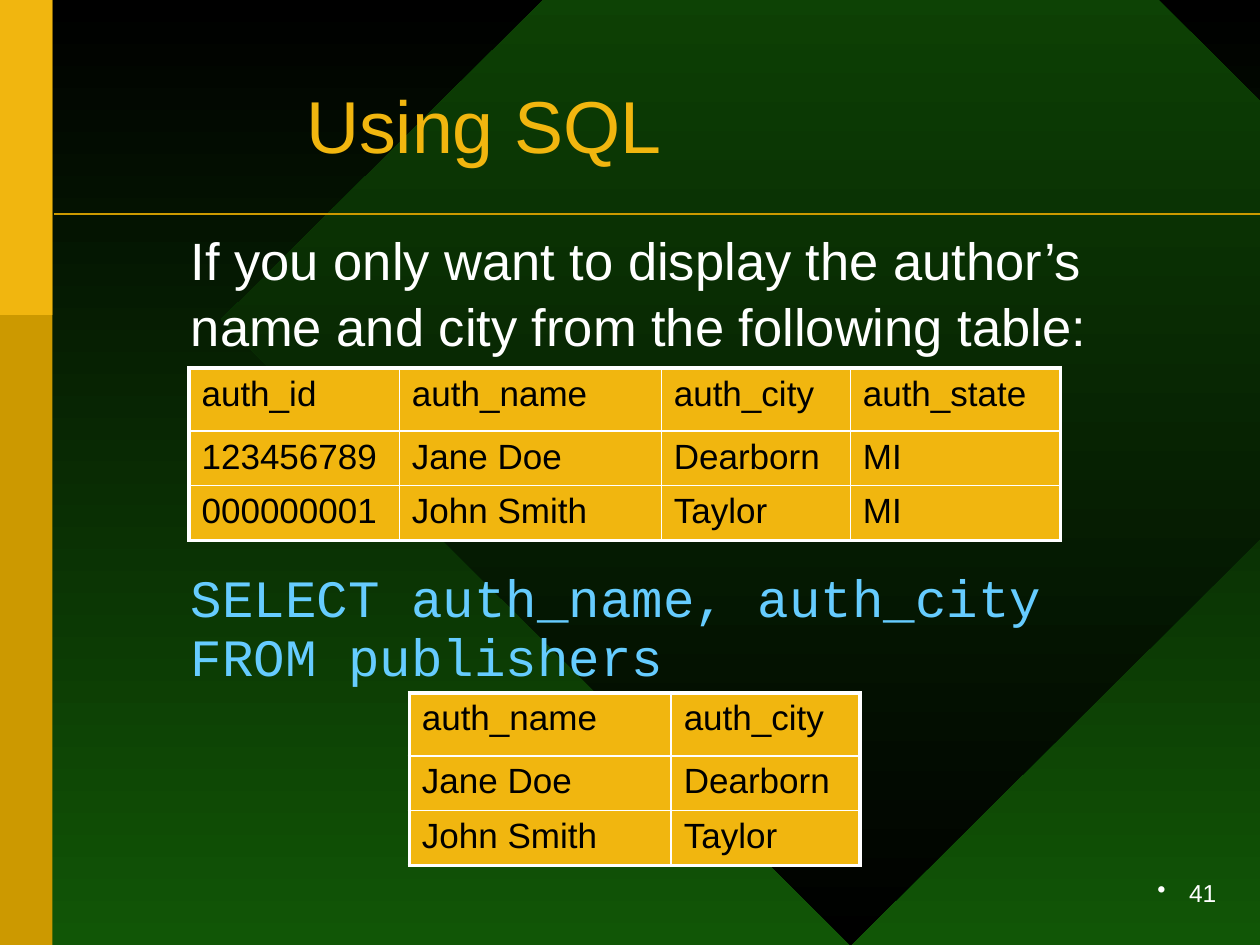
"""Build the slide on picking columns with SQL."""
from dataclasses import dataclass

from lxml.etree import SubElement as Sub
from pptx import Presentation
from pptx.dml.color import RGBColor
from pptx.enum.shapes import MSO_CONNECTOR as Link, MSO_SHAPE as Kind
from pptx.enum.text import MSO_ANCHOR as Anchor, PP_ALIGN as Align
from pptx.oxml.ns import qn
from pptx.util import Cm, Pt

BLACK = RGBColor(0x00, 0x00, 0x00)
WHITE = RGBColor(0xFF, 0xFF, 0xFF)
GREEN = RGBColor(0x11, 0x56, 0x06)
AMBER = RGBColor(0xF1, 0xB6, 0x0F)
OCHRE = RGBColor(0xCC, 0x99, 0x00)
SKY = RGBColor(0x66, 0xCC, 0xFF)

WIDE, HIGH, BAND = 25.4, 19.05, 1.06
ID, NAME, CITY, STATE = 4.24, 5.28, 3.81, 4.24
ROWS = (1.27, 1.1, 1.1)
THICK, THIN = Pt(2.25), Pt(1)


@dataclass(frozen=True)
class Box:
    left: float
    top: float
    width: float
    height: float

    def size(self) -> tuple:
        return Cm(self.left), Cm(self.top), Cm(self.width), Cm(self.height)


@dataclass(frozen=True)
class Grid:
    left: float
    top: float
    cols: tuple
    rows: tuple


SOURCE = Grid(3.81, 7.42, (ID, NAME, CITY, STATE), (
    ("auth_id", "auth_name", "auth_city", "auth_state"),
    ("123456789", "Jane Doe", "Dearborn", "MI"),
    ("000000001", "John Smith", "Taylor", "MI"),
))
RESULT = Grid(8.25, 13.97, (NAME, CITY), tuple(row[1:3] for row in SOURCE.rows))


def shade(fill, first: RGBColor, last: RGBColor) -> None:
    """Fill from top to bottom with two colours."""
    fill.gradient()
    fill.gradient_angle = 270
    for stop, color, place in zip(fill.gradient_stops, (first, last), (0, 1)):
        stop.color.rgb = color
        stop.position = place


def add_block(slide, kind, box: Box):
    """Add a preset shape without outline or shadow."""
    shape = slide.shapes.add_shape(kind, *box.size())
    shape.shadow.inherit = False
    shape.line.fill.background()
    return shape


def write(frame, text: str, *, size: float, color: RGBColor, font: str = "Arial",
          anchor=Anchor.TOP, align=Align.LEFT, space: float = 1,
          bullet: str = "") -> None:
    """Put one formatted paragraph in a text frame."""
    frame.word_wrap = True
    frame.vertical_anchor = anchor
    para = frame.paragraphs[0]
    para.text = text
    para.alignment = align
    para.line_spacing = space
    if bullet:
        props = para._p.get_or_add_pPr()
        props.set("marL", str(Cm(0.64)))
        props.set("indent", str(-Cm(0.64)))
        Sub(props, qn("a:buChar"), char=bullet)
    for run in para.runs:
        run.font.name = font
        run.font.size = Pt(size)
        run.font.color.rgb = color


def add_text(slide, box: Box, text: str, **style) -> None:
    """Add a text box in the given style."""
    write(slide.shapes.add_textbox(*box.size()).text_frame, text, **style)


def edge(cell, sides: dict) -> None:
    """Draw white cell borders of the given widths."""
    props = cell._tc.get_or_add_tcPr()
    for side, width in sides.items():
        line = Sub(props, qn(f"a:ln{side}"), w=str(width))
        Sub(Sub(line, qn("a:solidFill")), qn("a:srgbClr"), val=str(WHITE))


def add_grid(slide, grid: Grid) -> None:
    """Add an amber table with a thick frame."""
    box = Box(grid.left, grid.top, sum(grid.cols), sum(ROWS))
    table = slide.shapes.add_table(len(ROWS), len(grid.cols), *box.size()).table
    table.first_row = table.horz_banding = False
    for col, width in zip(table.columns, grid.cols):
        col.width = Cm(width)
    for row, height in zip(table.rows, ROWS):
        row.height = Cm(height)
    end, base = len(grid.cols) - 1, len(ROWS) - 1
    for y, texts in enumerate(grid.rows):
        for x, text in enumerate(texts):
            cell = table.cell(y, x)
            outer = {"L": x == 0, "R": x == end, "T": y == 0, "B": y == base}
            edge(cell, {side: THICK if out else THIN for side, out in outer.items()})
            cell.fill.solid()
            cell.fill.fore_color.rgb = AMBER
            write(cell.text_frame, text, size=20, color=BLACK)


def add_rule(slide, left: float, top: float, right: float) -> None:
    """Add a thin level line."""
    rule = slide.shapes.add_connector(
        Link.STRAIGHT, Cm(left), Cm(top), Cm(right), Cm(top))
    rule.line.color.rgb = OCHRE
    rule.line.width = THIN
    Sub(rule._element.spPr, qn("a:effectLst"))


def main() -> None:
    """Build and save the slide."""
    deck = Presentation()
    deck.slide_width, deck.slide_height = Cm(WIDE), Cm(HIGH)
    slide = deck.slides.add_slide(deck.slide_layouts[6])
    shade(slide.background.fill, BLACK, GREEN)

    gem = add_block(slide, Kind.DIAMOND, Box(4.45, -6.15, 25.4, 25.2))
    shade(gem.fill, GREEN, BLACK)
    for color, height in ((OCHRE, HIGH), (AMBER, HIGH / 3)):
        band = add_block(slide, Kind.RECTANGLE, Box(0, 0, BAND, height))
        band.fill.solid()
        band.fill.fore_color.rgb = color

    add_text(slide, Box(18.42, 17.78, 6.35, 0.64), "41", size=14, color=WHITE,
             anchor=Anchor.BOTTOM, align=Align.RIGHT, bullet="•")
    add_text(slide, Box(5.92, 1.06, 14.4, 3.18), "Using SQL", size=42,
             color=AMBER, anchor=Anchor.MIDDLE, space=0.85)
    add_text(slide, Box(3.6, 11.35, 19.69, 2.54),
             "SELECT auth_name, auth_city\nFROM publishers",
             size=30, color=SKY, font="Courier New", space=0.95)
    add_grid(slide, SOURCE)
    add_grid(slide, RESULT)
    add_text(slide, Box(3.6, 4.4, 20.75, 2.8),
             "If you only want to display the author’s name and city "
             "from the following table:", size=30, color=WHITE, space=1.05)
    add_rule(slide, 1.09, 4.32, WIDE)
    deck.save("out.pptx")


if __name__ == "__main__":
    main()
